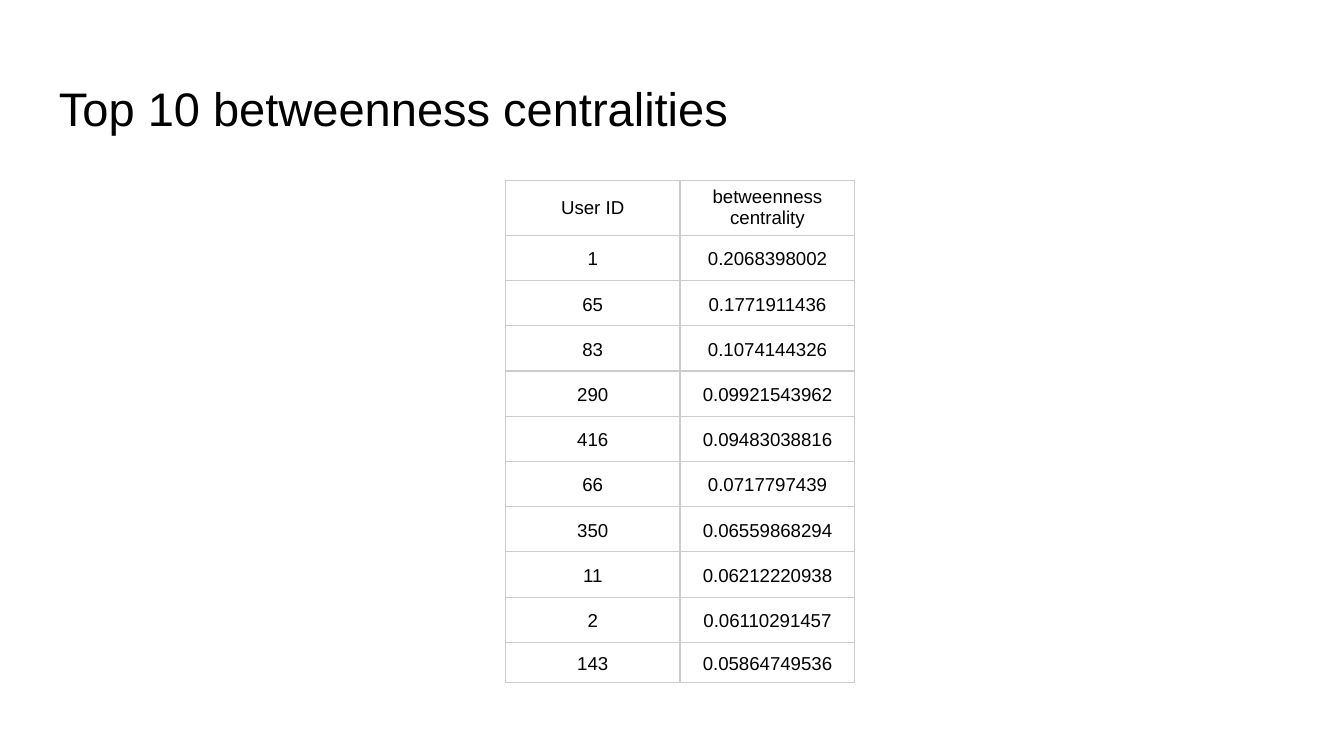
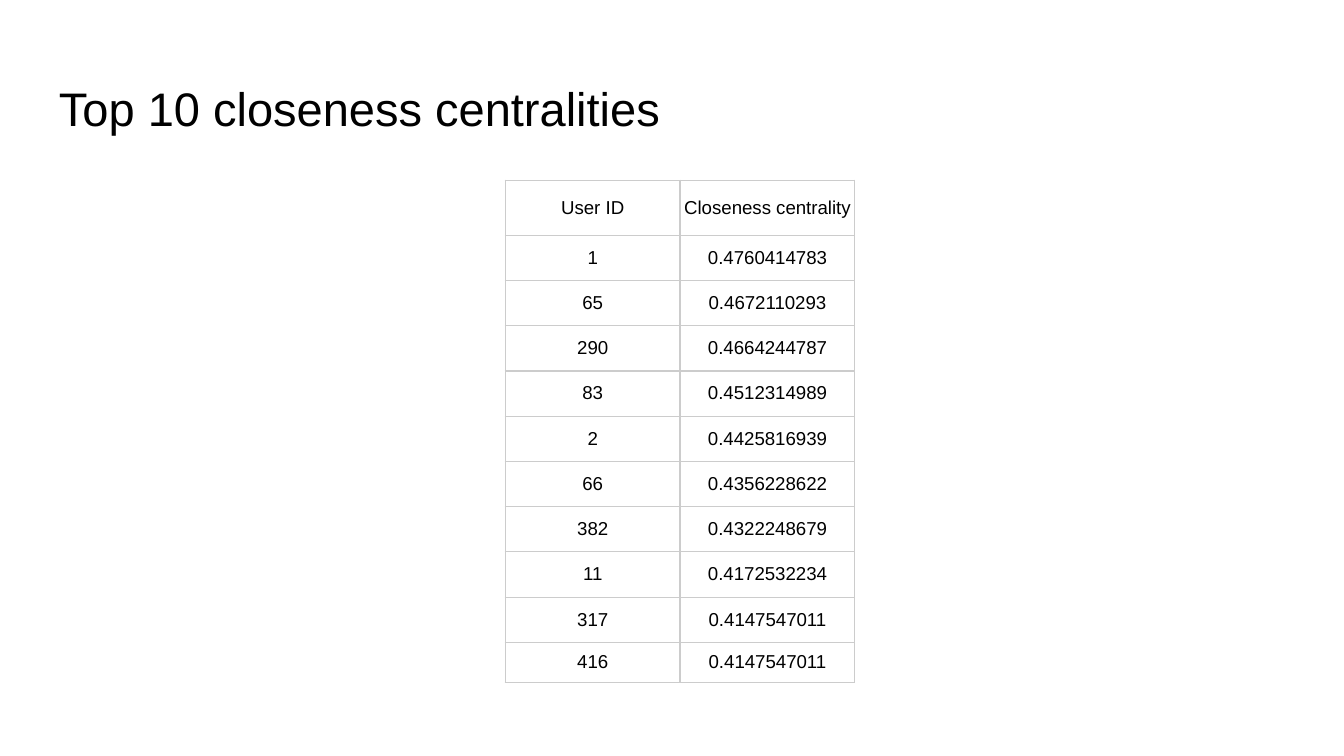
from lxml import etree
from pptx import Presentation
from pptx.dml.color import RGBColor
from pptx.enum import text as t
from pptx.oxml import ns
from pptx.util import Inches, Pt

# Shared style
FONT = "Arial"
BLACK = RGBColor(0x00, 0x00, 0x00)
GREY = RGBColor(0xCC, 0xCC, 0xCC)
EDGE = Pt(0.75)

# Table grid: a taller head, equal rows, a shorter last row
LEFT, TOP, HIGH = 3.76, 1.34, 3.74
COL, HEAD, LAST = 1.3, 0.41, 0.3

BETWEEN = [
    ("User ID", "betweenness centrality"),
    ("1", "0.2068398002"),
    ("65", "0.1771911436"),
    ("83", "0.1074144326"),
    ("290", "0.09921543962"),
    ("416", "0.09483038816"),
    ("66", "0.0717797439"),
    ("350", "0.06559868294"),
    ("11", "0.06212220938"),
    ("2", "0.06110291457"),
    ("143", "0.05864749536"),
]
CLOSE = [
    ("User ID", "Closeness centrality"),
    ("1", "0.4760414783"),
    ("65", "0.4672110293"),
    ("290", "0.4664244787"),
    ("83", "0.4512314989"),
    ("2", "0.4425816939"),
    ("66", "0.4356228622"),
    ("382", "0.4322248679"),
    ("11", "0.4172532234"),
    ("317", "0.4147547011"),
    ("416", "0.4147547011"),
]


def style(para, size):
    for run in para.runs:
        run.font.name = FONT
        run.font.size = Pt(size)
        run.font.color.rgb = BLACK


def add_title(slide, words):
    box = slide.shapes.add_textbox(
        Inches(0.34), Inches(0.49), Inches(9.32), Inches(0.63))
    frame = box.text_frame
    frame.word_wrap = True
    frame.margin_left = frame.margin_right = Inches(0.1)
    frame.margin_top = frame.margin_bottom = Inches(0.1)
    frame.text = words
    style(frame.paragraphs[0], 25.2)


def add_edges(cell):
    props = cell._tc.get_or_add_tcPr()
    for spot, side in enumerate(("lnL", "lnR", "lnT", "lnB")):
        line = etree.Element(ns.qn("a:" + side), w=str(EDGE))
        fill = etree.SubElement(line, ns.qn("a:solidFill"))
        etree.SubElement(fill, ns.qn("a:srgbClr"), val=str(GREY))
        props.insert(spot, line)


def fill_cell(cell, words, space):
    cell.fill.background()
    cell.vertical_anchor = t.MSO_ANCHOR.MIDDLE
    cell.margin_left = cell.margin_right = Inches(0.03)
    cell.margin_top = cell.margin_bottom = Inches(0.02)
    cell.text = words
    para = cell.text_frame.paragraphs[0]
    para.alignment = t.PP_ALIGN.CENTER
    if space:
        para.line_spacing = space
    style(para, 10)
    add_edges(cell)


def add_ranks(slide, rows, space):
    count, wide = len(rows), len(rows[0])
    table = slide.shapes.add_table(
        count, wide, Inches(LEFT), Inches(TOP),
        Inches(COL * wide), Inches(HIGH)).table
    table.first_row = table.horz_banding = False
    for col in table.columns:
        col.width = Inches(COL)
    body = (HIGH - HEAD - LAST) / (count - 2)
    sizes = [HEAD] + [body] * (count - 2) + [LAST]
    for r, (row, size) in enumerate(zip(rows, sizes)):
        table.rows[r].height = Inches(size)
        for c, words in enumerate(row):
            fill_cell(table.cell(r, c), words, space if r else None)


def main():
    # Widescreen, 16 to 9
    deck = Presentation()
    deck.slide_width = Inches(10)
    deck.slide_height = Inches(10) * 9 // 16
    pages = [
        ("Top 10 betweenness centralities", BETWEEN, 1.15),
        ("Top 10 closeness centralities", CLOSE, None),
    ]
    for title, rows, space in pages:
        slide = deck.slides.add_slide(deck.slide_layouts[6])
        add_title(slide, title)
        add_ranks(slide, rows, space)
    deck.save("out.pptx")


if __name__ == "__main__":
    main()
